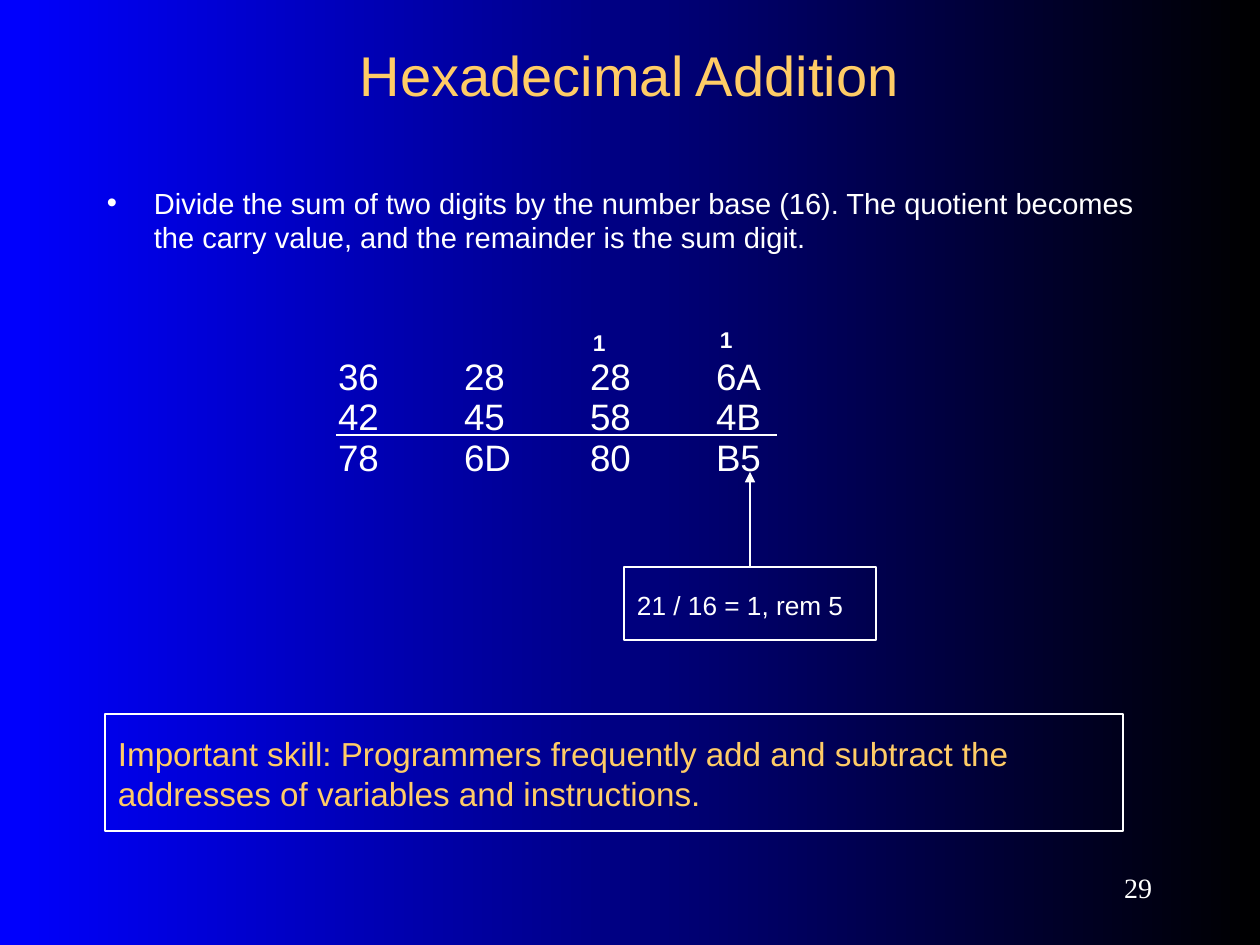
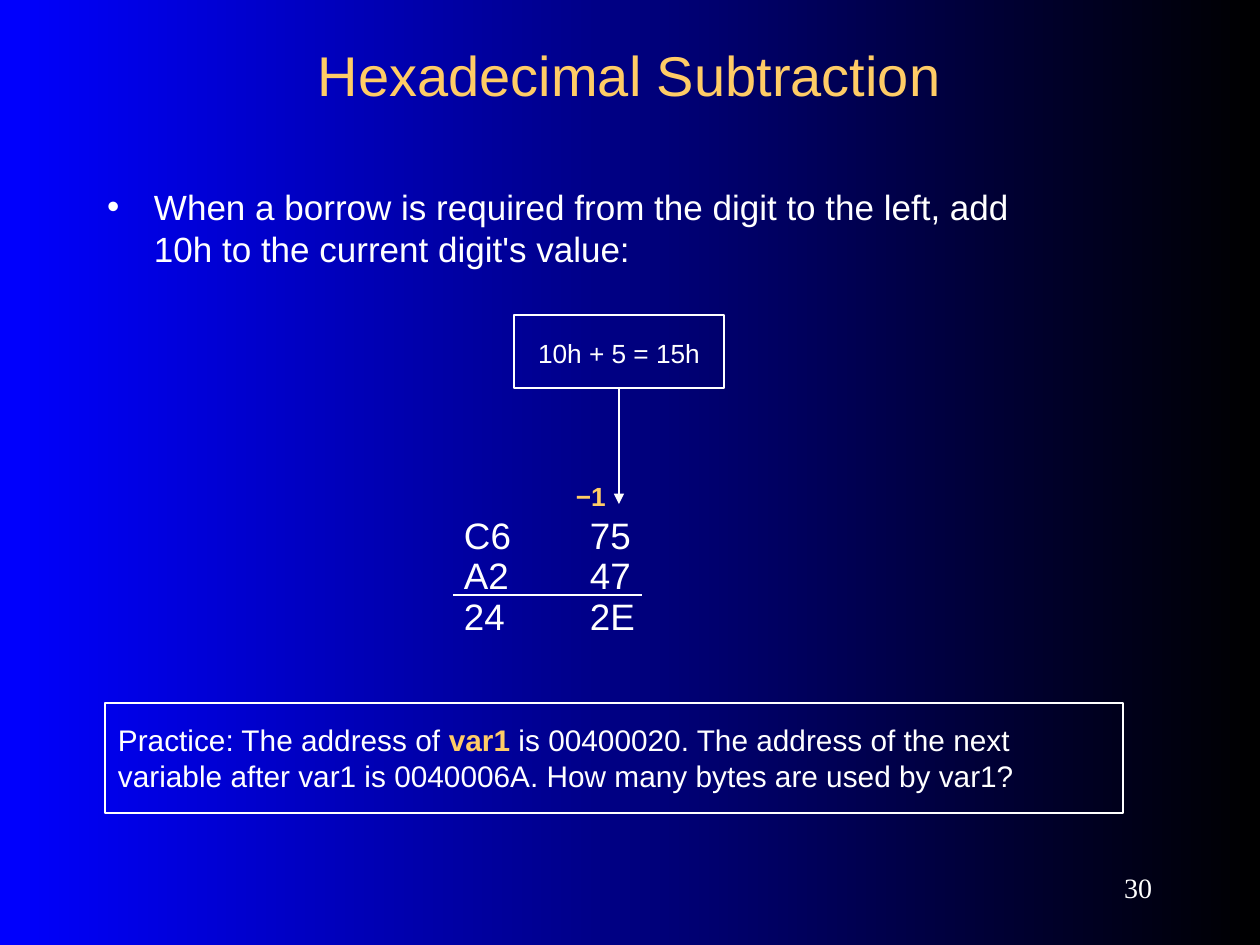
"""Two slides on adding and subtracting hexadecimal numbers."""
from lxml import etree
from pptx import Presentation
from pptx.dml.color import RGBColor
from pptx.enum.shapes import MSO_CONNECTOR, MSO_SHAPE
from pptx.enum.text import MSO_ANCHOR, PP_ALIGN
from pptx.oxml.ns import qn
from pptx.util import Emu, Pt

WHITE = RGBColor(0xFF, 0xFF, 0xFF)
GOLD = RGBColor(0xFF, 0xCC, 0x66)
BLACK = RGBColor(0, 0, 0)
BLUE = RGBColor(0, 0, 0xFF)
LEFT, MID, RIGHT = PP_ALIGN.LEFT, PP_ALIGN.CENTER, PP_ALIGN.RIGHT
TOP, CENTER = MSO_ANCHOR.TOP, MSO_ANCHOR.MIDDLE
RECT, LINE = MSO_SHAPE.RECTANGLE, MSO_CONNECTOR.STRAIGHT

INCH = 126
INDENT = 47
SIDE, SMALL, TALL = 13, 6, 19
TITLE = (94, 32, 1071, 84)
NUMBER = (1029, 861, 136, 53)

SLIDES = [
    {
        "title": "Hexadecimal Addition",
        "number": "29",
        "body": ("Divide the sum of two digits by the number base (16). "
                 "The quotient becomes the carry value, and the remainder "
                 "is the sum digit.", (94, 179, 1071, 84), 16.6),
        "sums": (["36", "28", "28", "6A"],
                 ["42", "45", "58", "4B"],
                 ["78", "6D", "80", "B5"]),
        "grid": (325, 357, 536, 137),
        "rule": (336, 777, 435),
        "marks": [("1", (707, 312, 39, 66), 13, WHITE),
                  ("1", (580, 315, 39, 66), 13, WHITE)],
        "step": ("21 / 16 = 1, rem 5", (624, 567, 252, 73), LEFT),
        "arrow": (0, 472),
        "note": ([("Important skill: Programmers frequently add and subtract "
                   "the addresses of variables and instructions.",
                   GOLD, False)], (105, 714, 1018, 117), 19),
    },
    {
        "title": "Hexadecimal Subtraction",
        "number": "30",
        "body": ("When a borrow is required from the digit to the left, add "
                 "10h to the current digit's value:",
                 (94, 179, 977, 105), 20),
        "sums": (["C6", "75"], ["A2", "47"], ["24", "2E"]),
        "grid": (451, 516, 242, 137),
        "rule": (453, 642, 595),
        "marks": [("−1", (563, 464, 73, 69), 15, GOLD)],
        "step": ("10h + 5 = 15h", (514, 315, 210, 73), MID),
        "arrow": (2, 504),
        "note": ([("Practice: The address of ", WHITE, False),
                  ("var1", GOLD, True),
                  (" is 00400020. The address of the next variable after "
                   "var1 is 0040006A. How many bytes are used by var1?",
                   WHITE, False)], (105, 703, 1018, 110), 17),
    },
]


def px(n):
    return Emu(round(n * 914400 / INCH))


def setup(obj, values):
    for name, value in values.items():
        setattr(obj, name, value)


def write(para, runs, size, face="Arial"):
    for text, color, bold in runs:
        run = para.add_run()
        run.text = text
        setup(run.font, {"size": Pt(size), "name": face, "bold": bold})
        run.font.color.rgb = color


def add_box(slide, area, runs, size, pad=TALL, align=LEFT, anchor=TOP,
            face="Arial", framed=False, pitch=1.0):
    place = [px(n) for n in area]
    if framed:
        box = slide.shapes.add_shape(RECT, *place)
        box.shadow.inherit = False
        box.fill.background()
        box.line.color.rgb = WHITE
        box.line.width = Pt(0.75)
    else:
        box = slide.shapes.add_textbox(*place)
    setup(box.text_frame, {
        "word_wrap": True, "vertical_anchor": anchor,
        "margin_left": px(SIDE), "margin_right": px(SIDE),
        "margin_top": px(pad), "margin_bottom": px(pad)})
    para = box.text_frame.paragraphs[0]
    setup(para, {"alignment": align, "line_spacing": pitch})
    write(para, runs, size, face)
    return box


def add_bullet(para):
    props = para._p.get_or_add_pPr()
    props.set("marL", str(px(INDENT)))
    props.set("indent", str(-px(INDENT)))
    color = etree.SubElement(props, qn("a:buClr"))
    etree.SubElement(color, qn("a:srgbClr"), val=str(WHITE))
    etree.SubElement(props, qn("a:buFont"), typeface="Arial")
    etree.SubElement(props, qn("a:buChar"), char="•")


def add_tabs(para, count):
    tabs = etree.SubElement(para._p.get_or_add_pPr(), qn("a:tabLst"))
    for stop in range(1, count):
        etree.SubElement(tabs, qn("a:tab"), pos=str(px(stop * INCH)),
                         algn="l")


def add_line(slide, x1, y1, x2, y2):
    line = slide.shapes.add_connector(LINE, px(x1), px(y1), px(x2), px(y2))
    line.line.color.rgb = WHITE
    line.line.width = Pt(0.75)
    etree.SubElement(line._element.spPr, qn("a:effectLst"))
    return line


def add_sums(slide, rows, area):
    frame = add_box(slide, area, [], 21).text_frame
    for i, row in enumerate(rows):
        para = frame.add_paragraph() if i else frame.paragraphs[0]
        para.line_spacing = 0.4
        if i:
            para.space_before = Pt(13.1)
        add_tabs(para, len(row))
        write(para, [("\t".join(row), WHITE, False)], 21)


def add_step(slide, step, arrow):
    text, area, align = step
    site, tip = arrow
    box = add_box(slide, area, [(text, WHITE, False)], 15, align=align,
                  framed=True, pitch=1.1)
    x = area[0] + area[2] / 2
    line = add_line(slide, x, area[1], x, tip)
    line.begin_connect(box, site)
    etree.SubElement(line.line._get_or_add_ln(), qn("a:tailEnd"),
                     type="triangle")


def build(slide, data):
    add_box(slide, TITLE, [(data["title"], GOLD, False)], 32, SMALL, MID,
            CENTER)
    text, area, size = data["body"]
    body = add_box(slide, area, [(text, WHITE, False)], size, SMALL)
    add_bullet(body.text_frame.paragraphs[0])
    add_sums(slide, data["sums"], data["grid"])
    start, end, y = data["rule"]
    add_line(slide, start, y, end, y)
    for text, area, size, color in data["marks"]:
        add_box(slide, area, [(text, color, True)], size)
    add_step(slide, data["step"], data["arrow"])
    runs, area, size = data["note"]
    add_box(slide, area, runs, size, framed=True)
    add_box(slide, NUMBER, [(data["number"], WHITE, False)], 16, SMALL,
            RIGHT, CENTER, "Times New Roman")


def main():
    deck = Presentation()
    setup(deck, {"slide_width": px(1260), "slide_height": px(945)})
    fill = deck.slide_master.background.fill
    fill.gradient()
    fill.gradient_angle = 180
    for stop, color in zip(fill.gradient_stops, (BLACK, BLUE)):
        stop.color.rgb = color
    for data in SLIDES:
        build(deck.slides.add_slide(deck.slide_layouts[6]), data)
    deck.save("out.pptx")


if __name__ == "__main__":
    main()
